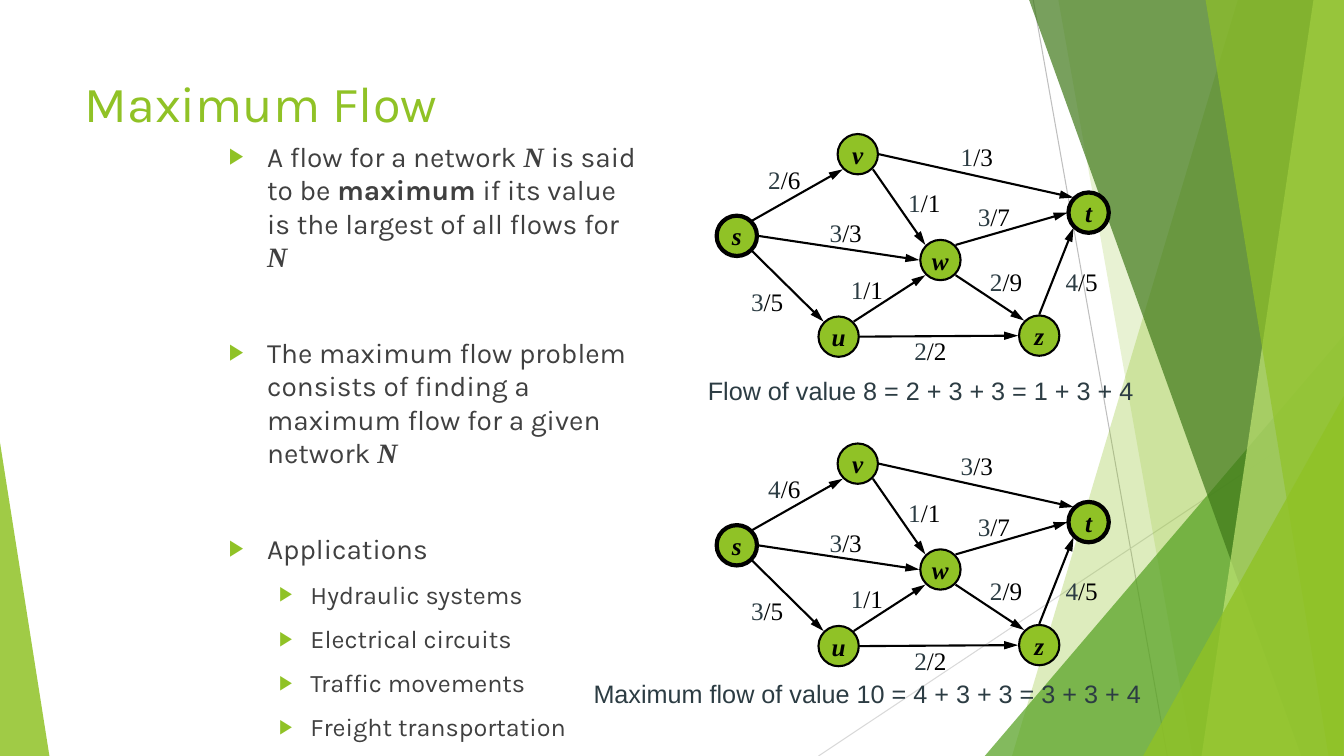
from lxml import etree
from pptx import Presentation
from pptx import util as u
from pptx.dml.color import RGBColor
from pptx.enum import shapes, text
from pptx.oxml.ns import qn

HUES = {
    "lime": "90C226", "leaf": "54A021", "pine": "3F7819", "pale": "C0E474",
    "ash": "BFBFBF", "mist": "D9D9D9", "ink": "404040", "slate": "2C3C43",
    "black": "000000",
}
SERIF, SANS, PLAIN = "Times New Roman", "Karla", "Arial"
COLS, ROWS = 133.33, 75
CELL = 0.1
NODE = 4
SIDE, DIAG = 2.1, 1.5
SITES = {
    "n": (0, -SIDE), "e": (SIDE, 0), "w": (-SIDE, 0),
    "ne": (DIAG, -DIAG), "se": (DIAG, DIAG),
    "nw": (-DIAG, -DIAG), "sw": (-DIAG, DIAG),
}


def grid(*cells):
    return [u.Inches(cell * CELL) for cell in cells]


class Page:
    def __init__(self, deck):
        self.slide = deck.slides.add_slide(deck.slide_layouts[1])
        self.pen = self.slide.shapes

    def group(self):
        self.pen = self.slide.shapes.add_group_shape().shapes

    def loose(self):
        self.pen = self.slide.shapes

    def style(self, run, size, face, hue, bold=False, slant=False):
        font = run.font
        font.size, font.name = u.Pt(size), face
        font.bold, font.italic = bold, slant
        font.color.rgb = RGBColor.from_string(HUES[hue])

    def paint(self, shape, hue, share=None):
        shape.shadow.inherit = False
        shape.fill.solid()
        shape.fill.fore_color.rgb = RGBColor.from_string(HUES[hue])
        shape.line.fill.background()
        if share:
            tint = shape.element.spPr.find(qn("a:solidFill"))[0]
            etree.SubElement(tint, qn("a:alpha"), val=str(share * 1000))

    def band(self, top, low, hue, share):
        pen = self.pen.build_freeform(*grid(top, 0), scale=1.0)
        ends = [(COLS, 0), (COLS, ROWS), (low, ROWS)]
        pen.add_line_segments([grid(*end) for end in ends], close=True)
        self.paint(pen.convert_to_shape(), hue, share)

    def wedge(self, left, top, width, tip, hue, share):
        kind = shapes.MSO_SHAPE.ISOSCELES_TRIANGLE
        shape = self.pen.add_shape(kind, *grid(left, top, width, ROWS - top))
        shape.adjustments[0] = tip
        self.paint(shape, hue, share)

    def line(self, start, end, hue, width, head=False):
        kind = shapes.MSO_CONNECTOR.STRAIGHT
        line = self.pen.add_connector(kind, *grid(*start, *end))
        line.line.color.rgb = RGBColor.from_string(HUES[hue])
        line.line.width = u.Pt(width)
        if head:
            etree.SubElement(line.line._get_or_add_ln(), qn("a:tailEnd"),
                             type="triangle", w="med", len="lg")
        etree.SubElement(line.element.spPr, qn("a:effectLst"))

    def node(self, name, mid, top):
        x, y = mid
        spot = grid(x - NODE / 2, y + top - NODE / 2, NODE, NODE)
        shape = self.pen.add_shape(shapes.MSO_SHAPE.OVAL, *spot)
        self.paint(shape, "lime")
        shape.line.color.rgb = RGBColor.from_string(HUES["black"])
        shape.line.width = u.Pt(3 if name in "st" else 1.5)
        frame = shape.text_frame
        frame.word_wrap = False
        frame.vertical_anchor = text.MSO_ANCHOR.MIDDLE
        frame.text = name
        para = frame.paragraphs[0]
        para.alignment = text.PP_ALIGN.CENTER
        self.style(para.runs[0], 18, SERIF, "black", True, True)

    def note(self, left, top, width, parts, face):
        box = self.pen.add_textbox(*grid(left, top, width, 4))
        frame = box.text_frame
        frame.word_wrap = False
        frame.auto_size = text.MSO_AUTO_SIZE.SHAPE_TO_FIT_TEXT
        para = frame.paragraphs[0]
        para.alignment = text.PP_ALIGN.CENTER
        for words, hue in parts:
            run = para.add_run()
            run.text = words
            self.style(run, 18, face, hue)

    def place(self, shape, *spot):
        shape.left, shape.top, shape.width, shape.height = grid(*spot)
        shape.element.getparent().append(shape.element)
        frame = shape.text_frame
        frame.word_wrap = True
        frame.auto_size = text.MSO_AUTO_SIZE.NONE
        frame.vertical_anchor = text.MSO_ANCHOR.TOP
        return frame

    def title(self, words, *spot):
        frame = self.place(self.slide.shapes.title, *spot)
        frame.text = words
        para = frame.paragraphs[0]
        para.alignment = text.PP_ALIGN.LEFT
        self.style(para.runs[0], 36, SANS, "lime")

    def list(self, items, *spot):
        frame = self.place(self.slide.placeholders[1], *spot)
        for i, (level, gap, parts) in enumerate(items):
            para = frame.add_paragraph() if i else frame.paragraphs[0]
            para.level = level
            edge, hang = [(0.38, 0.38), (0.81, 0.31)][level]
            prop = para._p.get_or_add_pPr()
            prop.set("marL", str(u.Inches(edge)))
            prop.set("indent", str(-u.Inches(hang)))
            tint = etree.SubElement(prop, qn("a:buClr"))
            etree.SubElement(tint, qn("a:srgbClr"), val=HUES["lime"])
            etree.SubElement(prop, qn("a:buSzPct"), val="80000")
            etree.SubElement(prop, qn("a:buFont"), typeface=PLAIN)
            etree.SubElement(prop, qn("a:buChar"), char="▶")
            para.space_before = u.Pt(gap)
            for words, look in parts:
                run = para.add_run()
                run.text = words
                self.style(run, 20 - 2 * level, SERIF if look == "math" else SANS,
                           "ink", look != "", look == "math")


NODES = {
    "w": (93.3, 25.8), "s": (73.1, 23.4), "v": (85.1, 15.3),
    "u": (83.2, 33.4), "t": (108, 21.1), "z": (103.1, 33.3),
}
EDGES = [
    ("s", "ne", "v", "sw", 6, 75.2, 15.8),
    ("s", "se", "u", "nw", 5, 73.5, 27.9),
    ("v", "se", "w", "nw", 1, 89.1, 18.1),
    ("v", "e", "t", "nw", 3, 94.3, 13.5),
    ("w", "ne", "t", "w", 7, 96, 19.5),
    ("w", "se", "z", "nw", 9, 97.2, 25.9),
    ("z", "n", "t", "sw", 5, 104.7, 25.9),
    ("u", "e", "z", "w", 2, 89.7, 32.8),
    ("u", "ne", "w", "sw", 1, 83.4, 26.7),
    ("s", "e", "w", "w", 3, 81.3, 21.1),
]
FLOWS = [(0, "2311324213"), (30.7, "4313324213")]
NOTES = [
    (69, 36.7, 44.7, "Flow of value 8 = 2 + 3 + 3 = 1 + 3 + 4"),
    (57.6, 66.8, 56.9, "Maximum flow of value 10 = 4 + 3 + 3 = 3 + 3 + 4"),
]
USES = ["Hydraulic systems", "Electrical circuits", "Traffic movements",
        "Freight transportation"]
ITEMS = [
    (0, 0, [("A flow for a network ", ""), ("N ", "math"), ("is said to be ", ""),
            ("maximum", "bold"),
            (" if its value is the largest of all flows for ", ""), ("N", "math")]),
    (0, 44, [("The maximum flow problem consists of finding a maximum flow "
              "for a given network ", ""), ("N", "math")]),
    (0, 44, [("Applications", "")]),
] + [(1, 10, [(use, "")]) for use in USES]


def site(name, side, top):
    (x, y), (dx, dy) = NODES[name], SITES[side]
    return x + dx, y + dy + top


def main():
    deck = Presentation()
    deck.slide_width, deck.slide_height = grid(COLS, ROWS)
    page = Page(deck)

    page.group()
    page.line((102.5, 0), (115.8, ROWS), "ash", 0.75)
    page.line((COLS, 40.3), (81.2, ROWS), "mist", 0.75)
    page.band(122.8, 100.4, "lime", 30)
    page.band(105, 118.3, "lime", 20)
    page.wedge(97.7, 33.3, 35.6, 1, "leaf", 72)
    page.band(102.1, 129.1, "pine", 70)
    page.band(130.3, 119.2, "pale", 70)
    page.band(119.6, 131.8, "lime", 65)
    page.wedge(113.4, 39.3, 19.9, 1, "lime", 80)
    page.wedge(0, 43.9, 4.9, 0, "lime", 85)

    page.title("Maximum Flow", 7.4, 6.7, 94, 14.4)
    page.list(ITEMS, 21.7, 13.3, 42.5, 56.7)

    for top, flows in FLOWS:
        page.group()
        for name, mid in NODES.items():
            page.node(name, mid, top)
        for flow, (a, out, b, into, cap, x, y) in zip(flows, EDGES):
            page.note(x, y + top, 5.2, [(flow, "slate"), (f"/{cap}", "black")], SERIF)
            page.line(site(a, out, top), site(b, into, top), "black", 1.5, True)

    page.loose()
    for left, top, width, words in NOTES:
        page.note(left, top, width, [(words, "slate")], PLAIN)
    deck.save("out.pptx")


if __name__ == "__main__":
    main()
